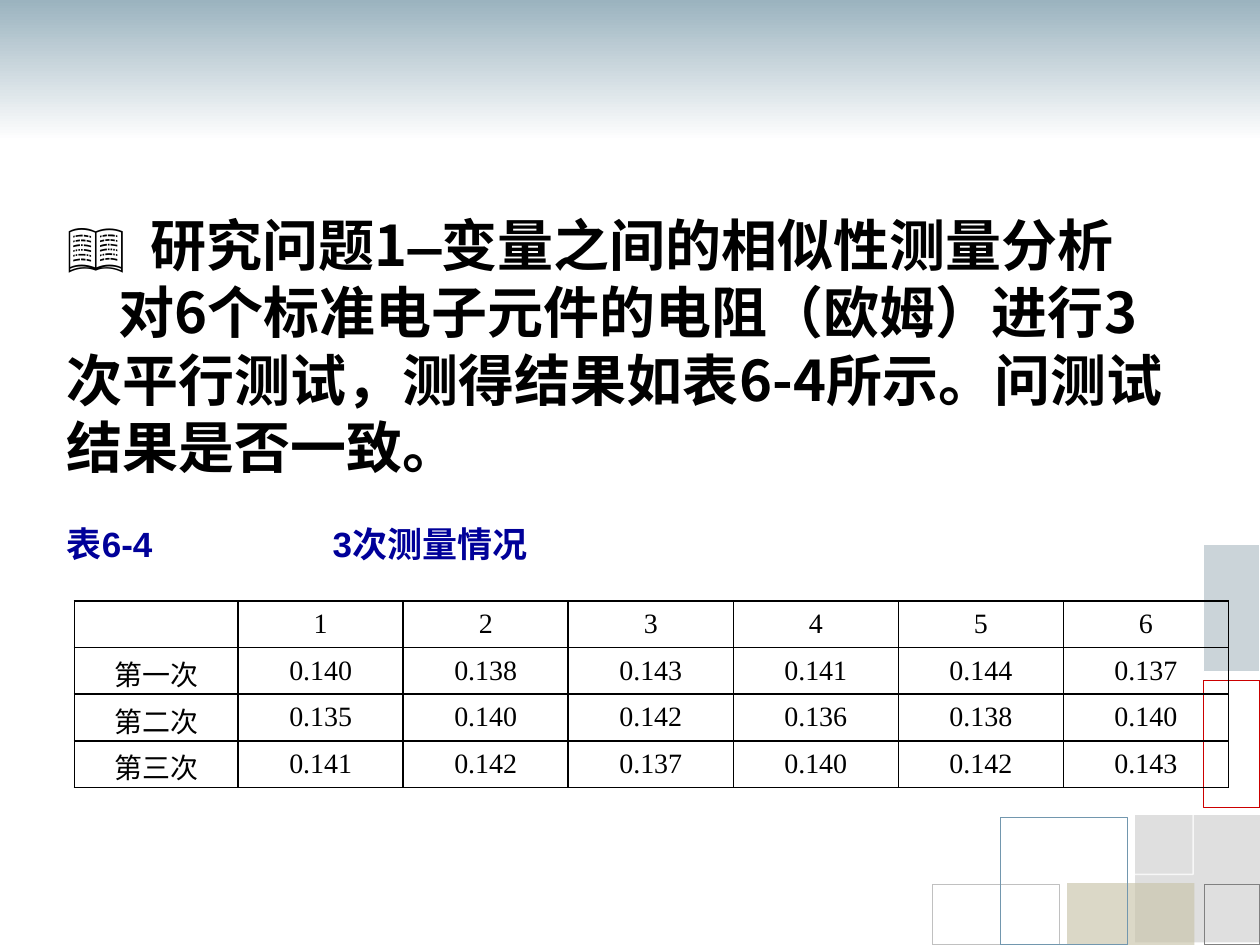
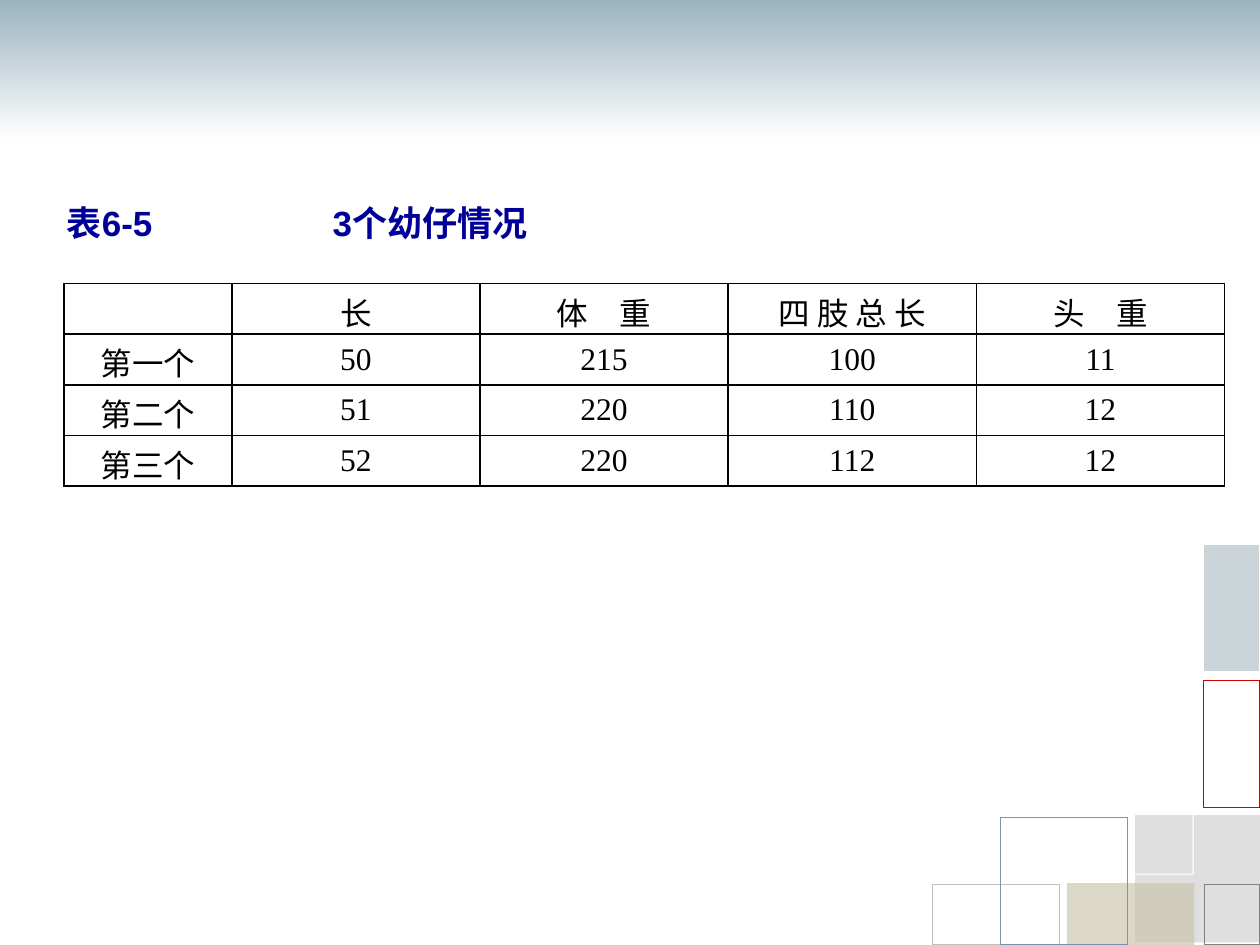
import pptx
import pptx.util
import pptx.dml.color
import pptx.enum.shapes
import pptx.enum.text
import pptx.oxml
import pptx.oxml.ns
from lxml import etree

Inches, Pt = pptx.util.Inches, pptx.util.Pt
RGB = pptx.dml.color.RGBColor.from_string
qn = pptx.oxml.ns.qn
ALIGN, ANCHOR = pptx.enum.text.PP_ALIGN, pptx.enum.text.MSO_ANCHOR

COLORS = {
    "text": "000000", "caption": "000099", "white": "FFFFFF",
    "mist": "C0CFD6", "band": "9BB3BF", "gray": "808080", "silver": "C0C0C0",
    "sand": "C9C5AB", "red": "CC0000", "slate": "46667A", "blue": "7297AE",
}
CJK = "Noto Sans CJK SC"

BANDS = [(-0.01, "white", "mist"), (0, "band", "white")]
BLOCKS = [
    (9.56, 7.02, 0.44, 0.48, None, None, "gray", 100),
    (9.01, 6.47, 1.01, 1.01, "gray", 25, None, None),
    (8.47, 7.01, 1.01, 0.49, "sand", 66, None, None),
    (9.55, 5.4, 0.45, 1.01, None, None, "red", 100),
    (7.4, 7.02, 1.01, 0.48, None, None, "silver", 100),
    (8.46, 5.93, 1.01, 1.01, None, None, "white", 76),
    (9.55, 4.32, 0.45, 1.01, "slate", 28, "white", 100),
    (7.94, 6.49, 1.01, 1.01, None, None, "blue", 100),
]
SLIDES = [
    {
        "caption": "表6-4\t3次测量情况", "caption_top": 4.1,
        "left": 0.59, "top": 4.77, "cols": [1.3] + [1.31] * 6,
        "row": 0.37, "size": 16,
        "rows": [
            ["", "1", "2", "3", "4", "5", "6"],
            ["第一次", "0.140", "0.138", "0.143", "0.141", "0.144", "0.137"],
            ["第二次", "0.135", "0.140", "0.142", "0.136", "0.138", "0.140"],
            ["第三次", "0.141", "0.142", "0.137", "0.140", "0.142", "0.143"],
        ],
    },
    {
        "caption": "表6-5\t3个幼仔情况", "caption_top": 1.55,
        "left": 0.51, "top": 2.25, "cols": [1.33] + [1.97] * 4,
        "row": 0.4, "size": 18,
        "rows": [
            ["", "长", "体　重", "四 肢 总 长", "头　重"],
            ["第一个", "50", "215", "100", "11"],
            ["第二个", "51", "220", "110", "12"],
            ["第三个", "52", "220", "112", "12"],
        ],
    },
]


def set_font(font, size, name, color, bold, asian=CJK):
    font.size, font.name, font.bold = Pt(size), name, bold
    font.color.rgb = RGB(COLORS[color])
    font._rPr.find(qn("a:latin")).addnext(
        pptx.oxml.parse_xml(f'<a:ea {pptx.oxml.ns.nsdecls("a")} typeface="{asian}"/>'))


def set_alpha(color_format_owner, percent):
    for clr in color_format_owner.iter(qn("a:srgbClr")):
        etree.SubElement(clr, qn("a:alpha"), val=str(percent * 1000))


prs = pptx.Presentation()
prs.slide_width, prs.slide_height = Inches(10), Inches(7.5)

for data in SLIDES:
    s = prs.slides.add_slide(prs.slide_layouts[5])
    s.background.fill.solid()
    s.background.fill.fore_color.rgb = RGB(COLORS["white"])

    for offset, start, end in BANDS:
        sp = s.shapes.add_shape(pptx.enum.shapes.MSO_SHAPE.RECTANGLE,
                                Inches(offset), Inches(offset), Inches(10), Inches(1.12))
        sp.shadow.inherit = False
        sp.line.fill.background()
        sp.fill.gradient()
        sp.fill.gradient_angle = 270
        for stop, color, position in zip(sp.fill.gradient_stops, (start, end), (0, 1)):
            stop.color.rgb = RGB(COLORS[color])
            stop.position = position

    for left, top, width, height, fill, fill_alpha, line, line_alpha in BLOCKS:
        sp = s.shapes.add_shape(pptx.enum.shapes.MSO_SHAPE.RECTANGLE,
                                Inches(left), Inches(top), Inches(width), Inches(height))
        sp.shadow.inherit = False
        if fill:
            sp.fill.solid()
            sp.fill.fore_color.rgb = RGB(COLORS[fill])
            set_alpha(sp._element.spPr.find(qn("a:solidFill")), fill_alpha)
        else:
            sp.fill.background()
        if line:
            sp.line.color.rgb = RGB(COLORS[line])
            sp.line.width = Pt(0.75)
            set_alpha(sp._element.spPr.find(qn("a:ln")), line_alpha)
        else:
            sp.line.fill.background()

    title = s.shapes.title
    title.left, title.top = Inches(0.43), Inches(data["caption_top"])
    title.width, title.height = Inches(9.14), Inches(0.43)
    tf = title.text_frame
    tf.word_wrap = True
    tf.auto_size = pptx.enum.text.MSO_AUTO_SIZE.NONE
    tf.vertical_anchor = ANCHOR.MIDDLE
    tf.text = data["caption"]
    p = tf.paragraphs[0]
    p.alignment = ALIGN.LEFT
    set_font(p.font, 20, "Arial", "caption", True)
    tabs = etree.Element(qn("a:tabLst"))
    etree.SubElement(tabs, qn("a:tab"), pos=str(Inches(2.11)), algn="l")
    p._p.pPr.find(qn("a:defRPr")).addprevious(tabs)

    rows, cols = data["rows"], data["cols"]
    frame = s.shapes.add_table(len(rows), len(cols), Inches(data["left"]), Inches(data["top"]),
                               Inches(sum(cols)), Inches(data["row"] * len(rows)))
    table = frame.table
    table.horz_banding = False
    for column, width in zip(table.columns, cols):
        column.width = Inches(width)
    for row, values in zip(table.rows, rows):
        row.height = Inches(data["row"])
        for cell, value in zip(row.cells, values):
            cell.text = value
            cell.vertical_anchor = ANCHOR.MIDDLE
            cell.margin_top = Inches(0.04 if value and not value.isascii() else 0)
            cell.margin_bottom = 0
            p = cell.text_frame.paragraphs[0]
            p.alignment = ALIGN.CENTER
            set_font(p.font, data["size"], "Times New Roman", "text", False)
            tcPr = cell._tc.get_or_add_tcPr()
            for side in ("lnL", "lnR", "lnT", "lnB"):
                ln = etree.SubElement(tcPr, qn(f"a:{side}"), w=str(Pt(1)))
                paint = etree.SubElement(ln, qn("a:solidFill"))
                etree.SubElement(paint, qn("a:srgbClr"), val=COLORS["text"])
            cell.fill.background()

s = prs.slides[0]
sp = s.shapes.add_textbox(Inches(0.43), Inches(1.62), Inches(9.14), Inches(2.23))
tf = sp.text_frame
tf.word_wrap = True
p = tf.paragraphs[0]
for text in ("📖  研究问题1", "—", "变量之间的相似性测量分析"):
    r = p.add_run()
    r.text = text
set_font(p.runs[1].font, 32, "Courier New", "text", True, "Courier New")
p = tf.add_paragraph()
p.text = "对6个标准电子元件的电阻（欧姆）进行3次平行测试，测得结果如表6-4所示。问测试结果是否一致。"
for p in tf.paragraphs:
    p.line_spacing = Pt(38.5)
    set_font(p.font, 32, CJK, "text", True)
p._p.pPr.set("indent", str(Inches(0.41)))

prs.save("out.pptx")
